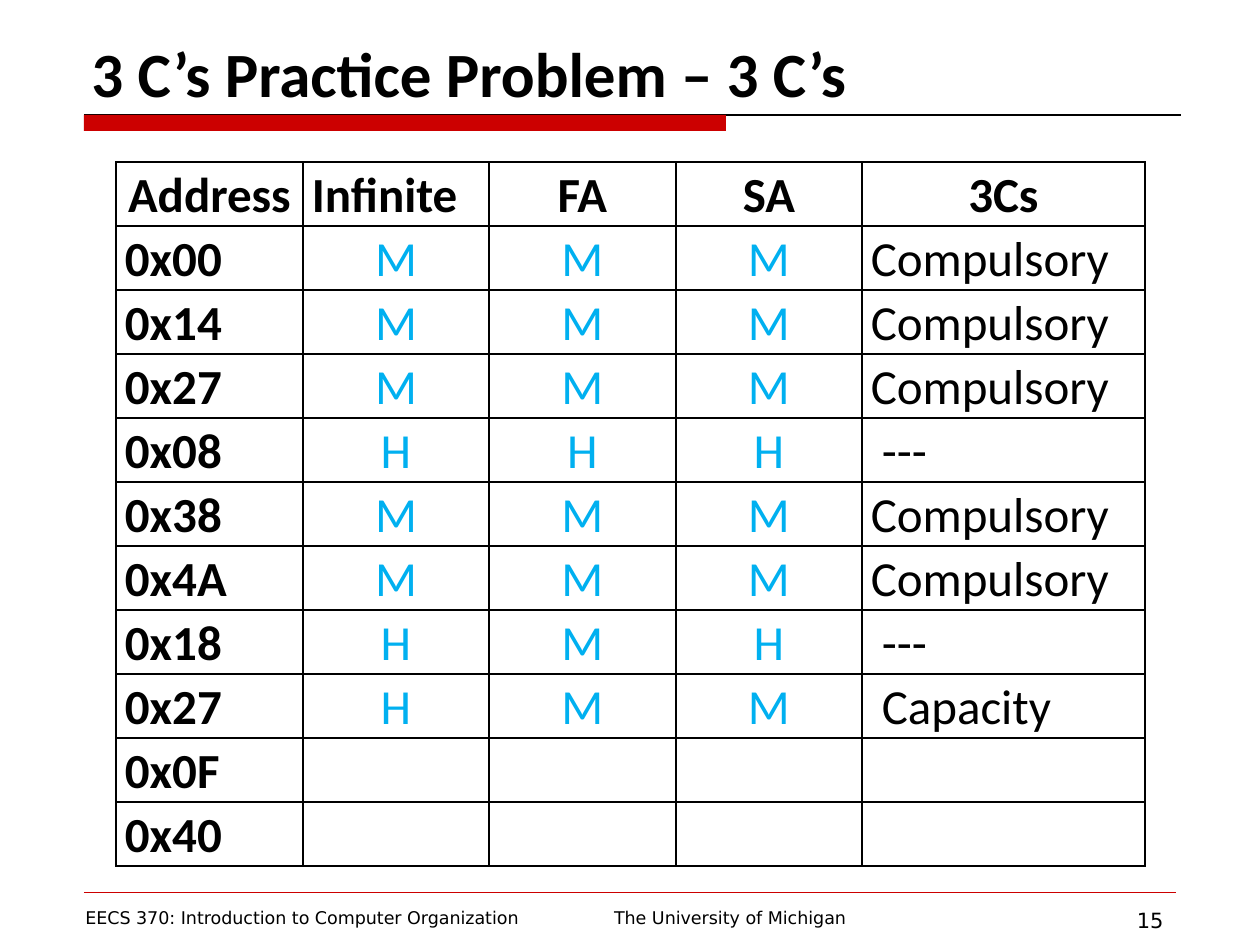
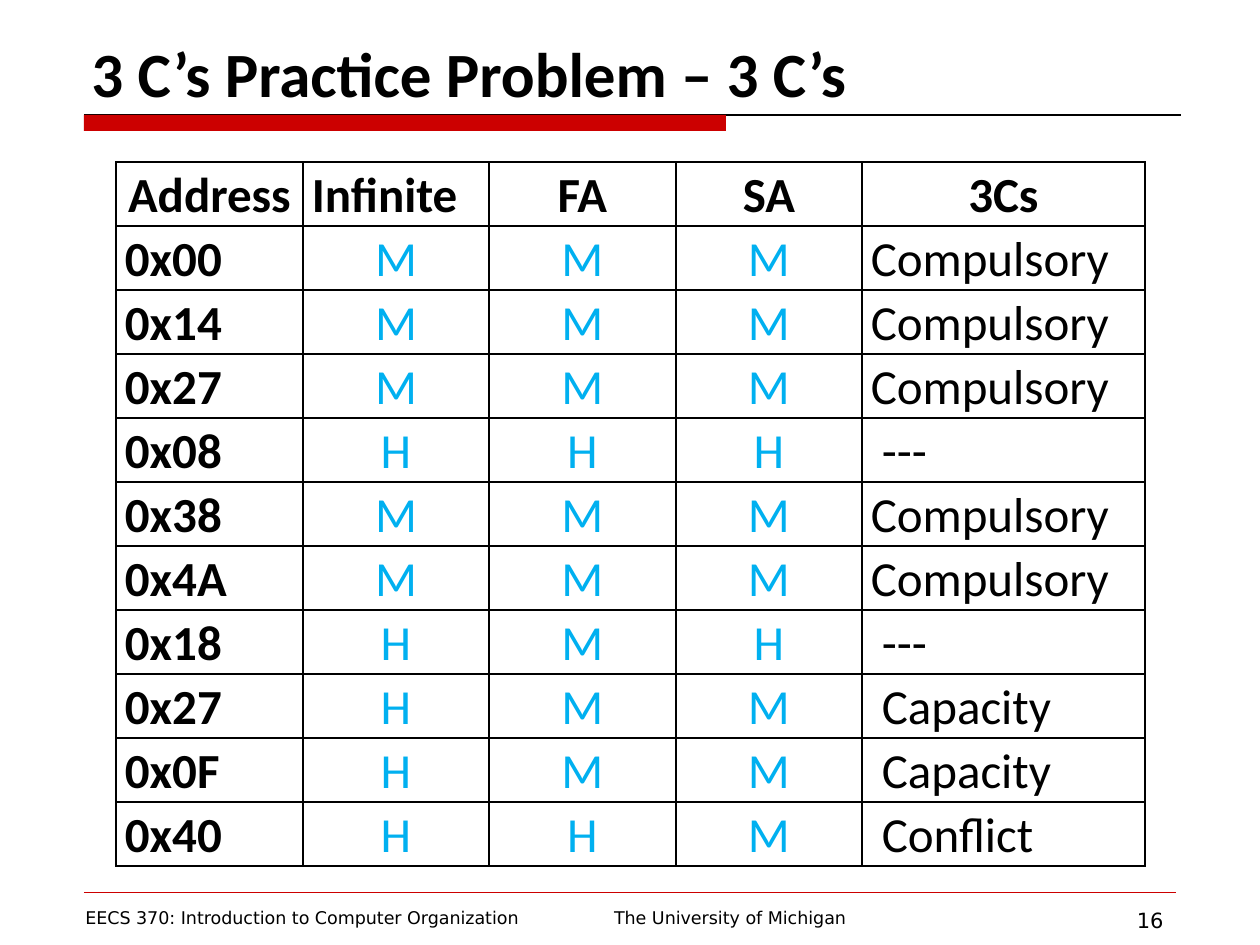
from dataclasses import dataclass
from lxml import etree
from pptx import Presentation
from pptx import util as u
from pptx.dml.color import RGBColor
from pptx.enum import shapes, text
from pptx.oxml.ns import qn

TITLE = "3 C’s Practice Problem – 3 C’s"
COURSE = "EECS 370: Introduction to Computer Organization"
SCHOOL = "The University of Michigan"
HEAD = ["Address", "Infinite", "FA", "SA", "3Cs"]
FIRST = [
    ["0x00", "M", "M", "M", "Compulsory"],
    ["0x14", "M", "M", "M", "Compulsory"],
    ["0x27", "M", "M", "M", "Compulsory"],
    ["0x08", "H", "H", "H", "---"],
    ["0x38", "M", "M", "M", "Compulsory"],
    ["0x4A", "M", "M", "M", "Compulsory"],
    ["0x18", "H", "M", "H", "---"],
    ["0x27", "H", "M", "M", "Capacity"],
]
LAST = [
    ["0x0F", "H", "M", "M", "Capacity"],
    ["0x40", "H", "H", "M", "Conflict"],
]
OPEN = [[row[0], "", "", "", ""] for row in LAST]
SLIDES = [("15", FIRST + OPEN), ("16", FIRST + LAST)]

COLS = [187, 186, 187, 186, 283]
ROW = 64
PAD, INDENT = 9, 20


@dataclass(frozen=True)
class Theme:
    red: str = "CC0000"
    black: str = "000000"
    blue: str = "00B0F0"
    head: str = "Calibri"
    foot: str = "DejaVu Sans"
    title: int = 36
    cell: int = 28
    page: int = 12
    note: int = 10


T = Theme()
LEFT, MID, RIGHT = text.PP_ALIGN.LEFT, text.PP_ALIGN.CENTER, text.PP_ALIGN.RIGHT


def px(n):
    return u.Emu(round(n * 914400 / 126))


def rgb(code):
    return RGBColor.from_string(code)


def style(para, words, face, size, color=T.black, bold=False, align=LEFT):
    para.text = words
    para.alignment = align
    font = para.font
    font.name, font.size, font.bold = face, u.Pt(size), bold
    font.color.rgb = rgb(color)


def label(slide, box, words, face, size, anchor=text.MSO_ANCHOR.TOP, **look):
    frame = slide.shapes.add_textbox(*map(px, box)).text_frame
    frame.word_wrap = True
    frame.vertical_anchor = anchor
    style(frame.paragraphs[0], words, face, size, **look)


def rule(slide, x1, x2, y, color, width):
    ends = map(px, (x1, y, x2, y))
    line = slide.shapes.add_connector(shapes.MSO_CONNECTOR.STRAIGHT, *ends)
    line.line.color.rgb = rgb(color)
    line.line.width = u.Pt(width)
    etree.SubElement(line._element.spPr, qn("a:effectLst"))


def border(cell):
    props = cell._tc.get_or_add_tcPr()
    for i, side in enumerate(("lnL", "lnR", "lnT", "lnB")):
        line = etree.Element(qn("a:" + side), w=str(u.Pt(1)))
        fill = etree.SubElement(line, qn("a:solidFill"))
        etree.SubElement(fill, qn("a:srgbClr"), val=T.black)
        props.insert(i, line)


def fill_cell(cell, words, r, c):
    hit = r > 0 and 0 < c < 4
    plain = r > 0 and c > 0
    left = words == "Infinite" or r > 0 and c in (0, 4)
    inset = plain and c == 4 and words != "Compulsory"
    cell.fill.background()
    border(cell)
    cell.margin_left = px(INDENT if inset else PAD)
    cell.margin_right = px(PAD)
    cell.margin_top = cell.margin_bottom = 0
    para = cell.text_frame.paragraphs[0]
    style(para, words, T.head, T.cell, T.blue if hit else T.black,
          not plain, LEFT if left else MID)
    para.line_spacing = 1.07


def grid(slide, rows):
    box = map(px, (116, 162, sum(COLS), ROW * len(rows)))
    table = slide.shapes.add_table(len(rows), len(COLS), *box).table
    table.first_row = table.horz_banding = False
    for col, wide in zip(table.columns, COLS):
        col.width = px(wide)
    for r, row in enumerate(rows):
        table.rows[r].height = px(ROW)
        for c, words in enumerate(row):
            fill_cell(table.cell(r, c), words, r, c)


def frame(slide, page):
    rule(slide, 84, 1181, 115, T.black, 0.75)
    bar = slide.shapes.add_shape(shapes.MSO_SHAPE.RECTANGLE,
                                 *map(px, (84, 115, 642, 16)))
    bar.shadow.inherit = False
    bar.fill.solid()
    bar.fill.fore_color.rgb = rgb(T.red)
    bar.line.fill.background()
    rule(slide, 84, 1176, 892, T.red, 0.25)
    label(slide, (494, 901, 472, 34), SCHOOL, T.foot, T.note, align=MID)
    label(slide, (79, 0, 1181, 116), TITLE, T.head, T.title,
          text.MSO_ANCHOR.BOTTOM, bold=True)
    label(slide, (73, 901, 494, 34), COURSE, T.foot, T.note)
    label(slide, (966, 901, 210, 34), page, T.foot, T.page, align=RIGHT)


def main():
    deck = Presentation()
    deck.slide_width, deck.slide_height = px(1260), px(945)
    for page, rows in SLIDES:
        slide = deck.slides.add_slide(deck.slide_layouts[6])
        frame(slide, page)
        grid(slide, [HEAD] + rows)
    deck.save("out.pptx")


if __name__ == "__main__":
    main()
